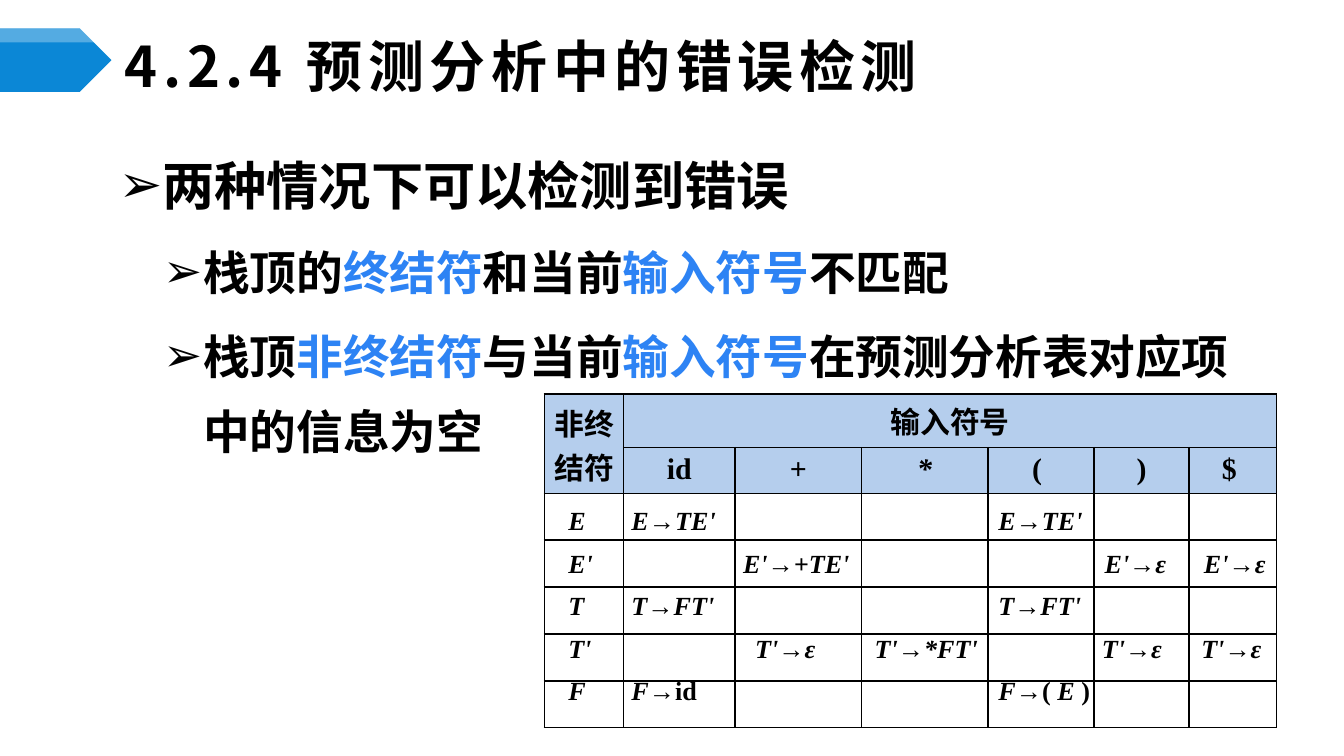
from lxml import etree
from pptx import Presentation
from pptx.dml.color import RGBColor
from pptx.enum.shapes import MSO_SHAPE
from pptx.enum.text import MSO_ANCHOR, MSO_AUTO_SIZE, PP_ALIGN
from pptx.oxml.ns import qn
from pptx.util import Inches, Pt

PENTAGON = MSO_SHAPE.PENTAGON
MIDDLE = MSO_ANCHOR.MIDDLE
NO_FIT = MSO_AUTO_SIZE.NONE
LEFT, CENTER = PP_ALIGN.LEFT, PP_ALIGN.CENTER

WIDTH = Inches(10)
HEIGHT = WIDTH * 9 // 16
LATIN, CJK = "Times New Roman", "Noto Sans CJK SC"
COLORS = {"text": "000000", "accent": "2D83F4", "header": "B5CEED",
          "arrow": "0B87D6", "light": "FFFFFF"}

BULLETS = [
    (0, 28, [("两种情况下可以检测到错误", "text")]),
    (1, 25, [("栈顶的", "text"), ("终结符", "accent"), ("和当前", "text"),
             ("输入符号", "accent"), ("不匹配", "text")]),
    (1, 25, [("栈顶", "text"), ("非终结符", "accent"), ("与当前", "text"),
             ("输入符号", "accent"), ("在预测分析表对应项中的信息为空", "text")]),
]
INDENTS = [0.3, 0.63]
HEADERS = ["id", "+", "*", "( ", ")", "$ "]
COLUMN_SHARES = [5.9, 8.3, 9.4, 9.4, 7.9, 7.1, 6.5]
ROW_SHARES = [7.12, 6.05] + [6.2] * 5
WIDE_STOPS = [0.47, 1.3, 2.28, 3.2, 3.99, 4.73]
EPSILON_STOPS = [0.47, 1.39, 2.28, 3.2, 3.97, 4.71]
PRODUCTIONS = [
    (WIDE_STOPS, [("E\tE→TE'\t\t\tE→TE'", True)]),
    (WIDE_STOPS, [("E'\t\tE'→+TE'\t\t\tE'→ε\tE'→ε", True)]),
    (WIDE_STOPS, [("T\tT→FT'\t\t\tT→FT'", True)]),
    (EPSILON_STOPS, [("T'\t\tT'→ε\tT'→*FT'\t\tT'→ε\tT'→ε", True)]),
    (WIDE_STOPS, [("F\tF→", True), ("id", False), ("\t\t\tF→", True),
                  ("( ", False), ("E ", True), (")", False)]),
]
CORNER = [((), [("非终", False)]), ((), [("结符", False)])]


def across(share):
    return round(WIDTH * share / 100)


def down(share):
    return round(HEIGHT * share / 100)


def area(x, y, w, h):
    return across(x), down(y), across(w), down(h)


def place(shape, x, y, w, h):
    shape.left, shape.top, shape.width, shape.height = area(x, y, w, h)


def color(name):
    return RGBColor.from_string(COLORS[name])


def add_run(p, text, size, name="text", font=LATIN, italic=False):
    r = p.add_run()
    r.text = text
    r.font.size, r.font.bold, r.font.italic = Pt(size), True, italic
    r.font.color.rgb = color(name)
    r.font.name = font
    latin = r.font._element.find(qn("a:latin"))
    latin.addnext(etree.Element(qn("a:ea"), typeface=CJK))
    return r


def paragraph(tf, index):
    return tf.paragraphs[0] if index == 0 else tf.add_paragraph()


def add_arrow(s, y, h, name, alpha=None):
    sp = s.shapes.add_shape(PENTAGON, *area(0, y, 8.3, h))
    sp.shadow.inherit = False
    sp.fill.solid()
    sp.fill.fore_color.rgb = color(name)
    sp.line.fill.background()
    if alpha:
        clr = sp._element.spPr.find(qn("a:solidFill"))[0]
        etree.SubElement(clr, qn("a:alpha"), val=str(alpha * 1000))


def add_title(s):
    title = s.shapes.title
    place(title, 8.3, 5.2, 86.7, 6.94)
    tf = title.text_frame
    tf.auto_size, tf.vertical_anchor = NO_FIT, MIDDLE
    p = tf.paragraphs[0]
    p.alignment = LEFT
    r = add_run(p, "4.2.4 预测分析中的错误检测", 30, font=CJK)
    r.font._element.set("spc", "300")


def add_bullets(s):
    body = s.placeholders[1]
    place(body, 7.83, 17.79, 86.5, 62.81)
    tf = body.text_frame
    tf.auto_size = NO_FIT
    for i, (level, size, parts) in enumerate(BULLETS):
        p = paragraph(tf, i)
        p.level = level
        p.line_spacing = Pt(40)
        p.space_before = Pt(5 if i else 0)
        pPr = p._p.get_or_add_pPr()
        pPr.set("marL", str(Inches(INDENTS[level])))
        pPr.set("indent", str(-Inches(0.3)))
        etree.SubElement(pPr, qn("a:buChar"), char="➢")
        for text, name in parts:
            add_run(p, text, size, name)


def format_cell(cell, header):
    cell.margin_left = cell.margin_right = Inches(0.2)
    cell.margin_top = cell.margin_bottom = Inches(0.04)
    tcPr = cell._tc.get_or_add_tcPr()
    for side in ("lnL", "lnR", "lnT", "lnB"):
        ln = etree.SubElement(tcPr, qn("a:" + side), w=str(Pt(1)))
        fill = etree.SubElement(ln, qn("a:solidFill"))
        etree.SubElement(fill, qn("a:srgbClr"), val=COLORS["text"])
    if header:
        cell.fill.solid()
        cell.fill.fore_color.rgb = color("header")
    else:
        cell.fill.background()
    cell.text_frame.paragraphs[0]._p.get_or_add_endParaRPr().set("sz", "1400")


def write_header(cell, text):
    p = cell.text_frame.paragraphs[0]
    p.alignment = CENTER
    add_run(p, text, 16, italic=text == "*")


def add_parse_table(s):
    frame = s.shapes.add_table(len(ROW_SHARES), len(COLUMN_SHARES),
                               *area(40.5, 52.1, sum(COLUMN_SHARES), sum(ROW_SHARES)))
    table = frame.table
    for column, share in zip(table.columns, COLUMN_SHARES):
        column.width = across(share)
    for i, (row, share) in enumerate(zip(table.rows, ROW_SHARES)):
        row.height = down(share)
        for cell in row.cells:
            format_cell(cell, header=i < 2)
    table.cell(0, 0).merge(table.cell(1, 0))
    table.cell(0, 1).merge(table.cell(0, 6))
    write_header(table.cell(0, 1), "输入符号")
    for j, text in enumerate(HEADERS, 1):
        write_header(table.cell(1, j), text)


def add_text(s, box, lines, size, spacing=None, gap=0, wrap=True):
    tf = s.shapes.add_textbox(*area(*box)).text_frame
    tf.word_wrap = wrap
    for i, (stops, parts) in enumerate(lines):
        p = paragraph(tf, i)
        p.line_spacing = spacing
        p.space_before = Pt(gap if i else 0)
        if stops:
            tabs = etree.SubElement(p._p.get_or_add_pPr(), qn("a:tabLst"))
            for stop in stops:
                etree.SubElement(tabs, qn("a:tab"), pos=str(Inches(stop)), algn="l")
        for text, italic in parts:
            add_run(p, text, size, italic=italic)


def main():
    prs = Presentation()
    prs.slide_width, prs.slide_height = WIDTH, HEIGHT
    s = prs.slides.add_slide(prs.slide_layouts[1])
    add_arrow(s, 3.75, 8.4, "arrow")
    add_arrow(s, 3.75, 1.87, "light", alpha=30)
    add_title(s)
    add_bullets(s)
    add_parse_table(s)
    add_text(s, (41.3, 65.05, 55.9, 30.05), PRODUCTIONS, 14, spacing=Pt(20), gap=2.8)
    add_text(s, (40.3, 52.85, 6.5, 12.27), CORNER, 16, gap=4, wrap=False)
    prs.save("out.pptx")


if __name__ == "__main__":
    main()
